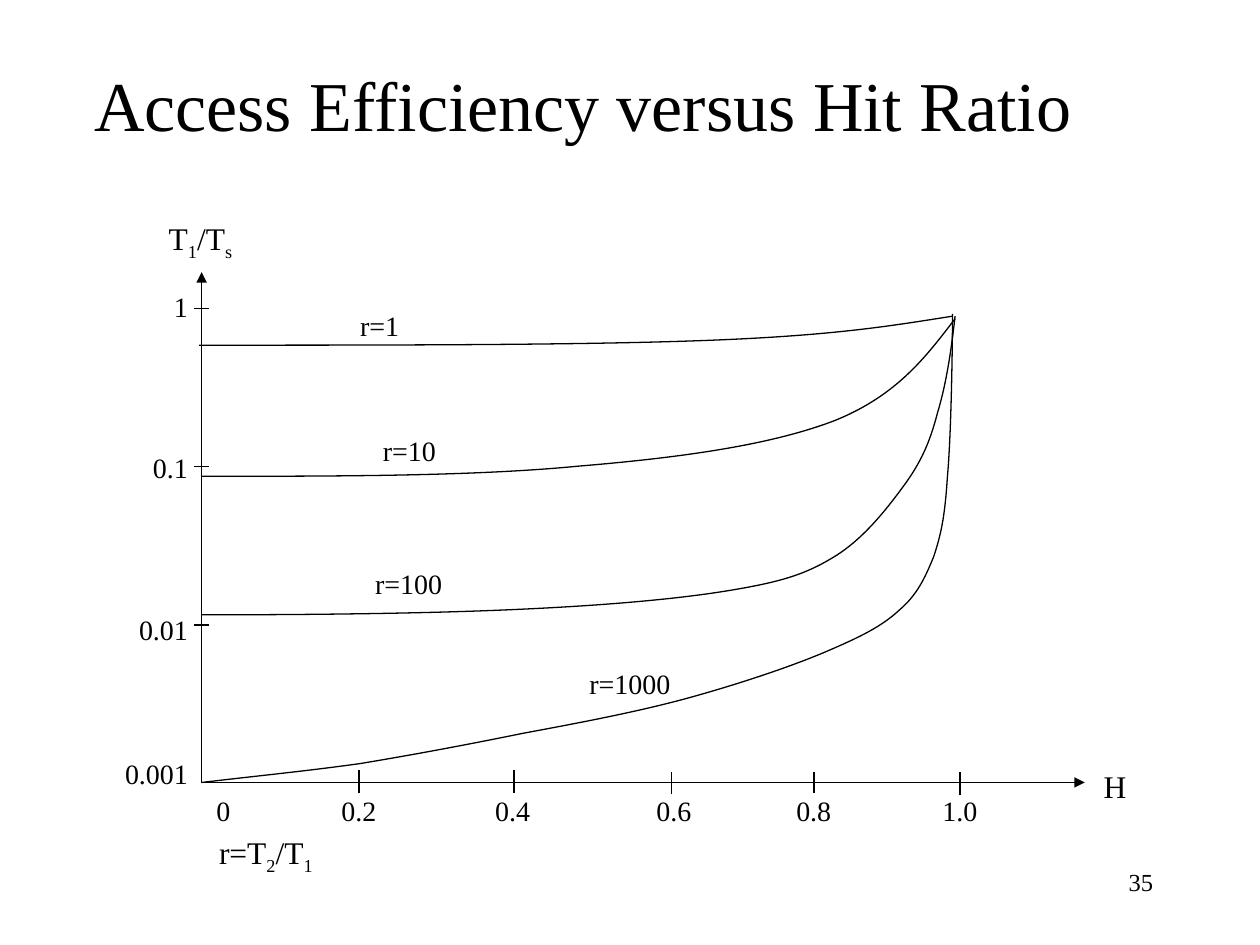
from dataclasses import dataclass

from lxml.etree import SubElement
from pptx import Presentation
from pptx.dml.color import RGBColor
from pptx.enum.shapes import MSO_CONNECTOR
from pptx.enum.text import MSO_ANCHOR, MSO_AUTO_SIZE, PP_ALIGN
from pptx.oxml.ns import qn
from pptx.util import Inches, Pt

Point = tuple[float, float]


@dataclass(frozen=True)
class Theme:
    font: str = "Times New Roman"
    ink: RGBColor = RGBColor(0, 0, 0)
    title: int = 40
    axis_name: int = 18
    label: int = 16
    page_number: int = 14
    line: float = 0.75


THEME = Theme()


@dataclass(frozen=True)
class Label:
    lines: tuple[str, ...]
    left: float
    top: float
    width: float
    height: float = 0.37
    size: int = THEME.label
    align: PP_ALIGN = PP_ALIGN.LEFT
    anchor: MSO_ANCHOR = MSO_ANCHOR.TOP
    wrap: bool = False
    grow: bool = True
    gaps: tuple[int, ...] = (0,)
    tabs: tuple[float, ...] = ()


@dataclass(frozen=True)
class Tick:
    start: Point
    end: Point


@dataclass(frozen=True)
class Curve:
    start: Point
    segments: tuple[tuple[float, ...], ...]


ORIGIN: Point = (1.6, 6.21)
AXES = Curve((1.6, 2.16), (ORIGIN, (8.61, 6.21)))
Y_TICKS = [Tick((1.54, y), (1.66, y)) for y in (4.96, 3.7, 2.45)]
X_TICKS = [Tick((x, top), (x, bottom)) for x, top, bottom in (
    (2.85, 6.11, 6.29), (4.08, 6.11, 6.29), (5.33, 6.13, 6.3),
    (6.46, 6.29, 6.13), (7.62, 6.31, 6.13))]
CURVES = [
    Curve(ORIGIN, (
        (2.02, 6.16, 2.43, 6.12, 2.86, 6.06),
        (3.28, 5.99, 3.71, 5.91, 4.15, 5.82),
        (4.58, 5.74, 5.06, 5.65, 5.46, 5.54),
        (5.86, 5.43, 6.28, 5.29, 6.56, 5.17),
        (6.84, 5.05, 7, 4.97, 7.14, 4.84),
        (7.28, 4.72, 7.34, 4.59, 7.41, 4.42),
        (7.47, 4.24, 7.5, 4.1, 7.52, 3.78),
        (7.55, 3.46, 7.56, 2.76, 7.56, 2.49),
    )),
    Curve((1.6, 4.88), (
        (2.47, 4.88, 3.35, 4.87, 4.04, 4.84),
        (4.74, 4.81, 5.34, 4.76, 5.77, 4.69),
        (6.2, 4.62, 6.39, 4.56, 6.62, 4.42),
        (6.85, 4.28, 7.03, 4.05, 7.17, 3.86),
        (7.31, 3.67, 7.38, 3.51, 7.44, 3.28),
        (7.51, 3.05, 7.55, 2.78, 7.58, 2.51),
    )),
    Curve((1.6, 3.78), (
        (2.68, 3.78, 3.76, 3.78, 4.59, 3.7),
        (5.43, 3.63, 6.12, 3.53, 6.62, 3.34),
        (7.12, 3.14, 7.35, 2.83, 7.58, 2.53),
    )),
    Curve((1.58, 2.74), (
        (3.13, 2.74, 4.68, 2.74, 5.67, 2.7),
        (6.67, 2.66, 7.11, 2.58, 7.56, 2.51),
    )),
]
HEADINGS = [
    Label(("35",), 7.17, 6.83, 2.08, 0.5, THEME.page_number, PP_ALIGN.RIGHT,
          wrap=True, grow=False),
    Label(("Access Efficiency versus Hit Ratio",), 0.65, 0.29, 8.02, 1.06,
          THEME.title, anchor=MSO_ANCHOR.MIDDLE, wrap=True, grow=False),
]
Y_SCALE = Label(("1", "0.1", "0.01", "0.001"), 0.89, 2.25, 0.7, 4.04,
                align=PP_ALIGN.RIGHT, gaps=(0, 73, 73, 63))
X_SCALE = Label(("0\t0.2\t0.4\t0.6\t0.8\t1.0",), 1.62, 6.25, 6.26, wrap=True,
                tabs=(1.13, 2.35, 3.63, 4.74, 5.9))
AXIS_NAMES = [
    Label(("T_1_/T_s_",), 1.24, 1.69, 0.72, 0.4, THEME.axis_name),
    Label(("H",), 8.66, 6.04, 0.38, 0.4, THEME.axis_name),
]
CURVE_NAMES = [
    Label(("r=1",), 2.76, 2.4, 0.51),
    Label(("r=10",), 2.94, 3.39, 0.62),
    Label(("r=100",), 2.88, 4.45, 0.73),
    Label(("r=1000",), 4.58, 5.24, 0.85),
    Label(("r=T_2_/T_1_",), 1.64, 6.56, 0.97, 0.4, THEME.axis_name),
]


def add_runs(paragraph, text: str, size: int) -> None:
    font_format = {"name": THEME.font, "size": Pt(size)}
    for index, part in enumerate(text.split("_")):
        if not part:
            continue
        run = paragraph.add_run()
        run.text = part
        for attribute, value in font_format.items():
            setattr(run.font, attribute, value)
        run.font.color.rgb = THEME.ink
        if index % 2:
            run._r.get_or_add_rPr().set("baseline", "-25000")


def add_label(shapes, label: Label) -> None:
    box = shapes.add_textbox(*map(Inches, (label.left, label.top, label.width, label.height)))
    frame = box.text_frame
    frame_format = {
        "word_wrap": label.wrap,
        "vertical_anchor": label.anchor,
        "auto_size": MSO_AUTO_SIZE.SHAPE_TO_FIT_TEXT if label.grow else MSO_AUTO_SIZE.NONE,
    }
    for attribute, value in frame_format.items():
        setattr(frame, attribute, value)
    for index, (line, gap) in enumerate(zip(label.lines, label.gaps)):
        paragraph = frame.add_paragraph() if index else frame.paragraphs[0]
        paragraph.alignment = label.align
        if gap:
            paragraph.space_before = Pt(gap)
        if label.tabs:
            stops = SubElement(paragraph._p.get_or_add_pPr(), qn("a:tabLst"))
            for position in label.tabs:
                SubElement(stops, qn("a:tab"), pos=str(Inches(position)), algn="ctr")
        add_runs(paragraph, line, label.size)


def style_line(stroke) -> None:
    stroke.line.color.rgb = THEME.ink
    stroke.line.width = Pt(THEME.line)


def add_tick(shapes, tick: Tick) -> None:
    mark = shapes.add_connector(MSO_CONNECTOR.STRAIGHT, *map(Inches, tick.start + tick.end))
    style_line(mark)
    SubElement(mark._element.spPr, qn("a:effectLst"))


def add_curve(shapes, curve: Curve, arrows: bool = False) -> None:
    builder = shapes.build_freeform(*map(Inches, curve.start))
    builder.add_line_segments([(Inches(segment[-2]), Inches(segment[-1]))
                               for segment in curve.segments], close=False)
    outline = builder.convert_to_shape()
    outline.fill.background()
    style_line(outline)
    outline.shadow.inherit = False
    properties = outline._element.spPr
    for step, segment in zip(list(properties.iter(qn("a:lnTo"))), curve.segments):
        if len(segment) == 6:
            bend = step.getparent().makeelement(qn("a:cubicBezTo"))
            for x, y in zip(segment[::2], segment[1::2]):
                SubElement(bend, qn("a:pt"), x=str(Inches(x) - outline.left),
                           y=str(Inches(y) - outline.top))
            step.getparent().replace(step, bend)
    if arrows:
        for end in ("a:headEnd", "a:tailEnd"):
            SubElement(properties.find(qn("a:ln")), qn(end), type="triangle")


presentation = Presentation()
presentation.slide_width, presentation.slide_height = Inches(10), Inches(7.5)
shapes = presentation.slides.add_slide(presentation.slide_layouts[6]).shapes

for heading in HEADINGS:
    add_label(shapes, heading)
add_curve(shapes, AXES, arrows=True)
for tick in Y_TICKS + X_TICKS:
    add_tick(shapes, tick)
for label in [Y_SCALE, X_SCALE, *AXIS_NAMES]:
    add_label(shapes, label)
for curve in CURVES:
    add_curve(shapes, curve)
for label in CURVE_NAMES:
    add_label(shapes, label)

presentation.save("out.pptx")
